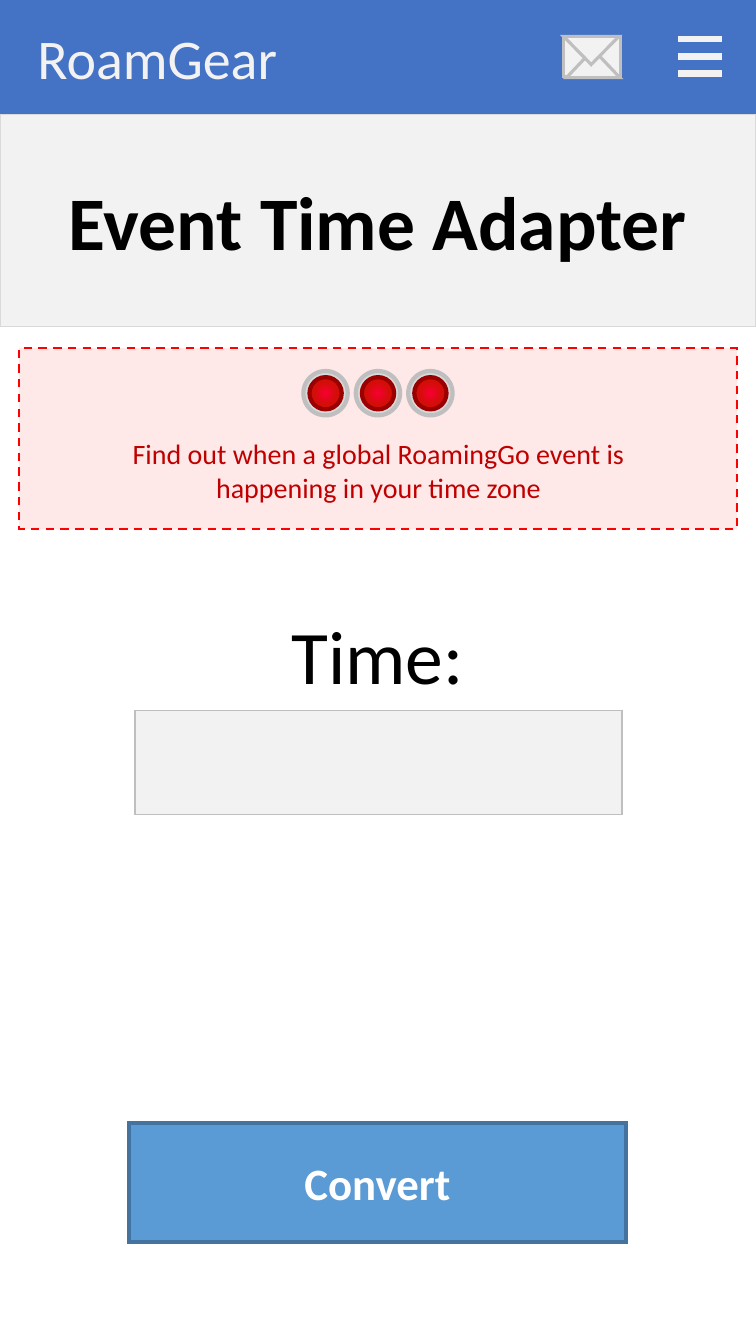
from pptx import Presentation
from pptx.dml.color import RGBColor as RGB
from pptx.enum.dml import MSO_LINE as Dash
from pptx.enum.shapes import MSO_CONNECTOR as Conn, MSO_SHAPE as Kind
from pptx.enum.text import MSO_ANCHOR as Anchor, PP_ALIGN as Align
from pptx.oxml import parse_xml
from pptx.oxml.ns import nsdecls, qn
from pptx.util import Inches, Pt

FONT = "Calibri"
HEX = {
    "bar": "4472C4", "pale": "F2F2F2", "edge": "D9D9D9", "gray": "BFBFBF",
    "black": "000000", "white": "FFFFFF", "blue": "5B9BD5", "navy": "43739E",
    "pink": "FEE8E8", "red": "FF0000", "text": "C00000", "rim": "9A0000",
    "glow": "FA0033", "core": "D30E09",
}


def color(name):
    return RGB.from_string(HEX[name])


def draw(slide, kind, box, fill, line=None, width=1):
    shape = slide.shapes.add_shape(kind, *map(Inches, box))
    shape.shadow.inherit = False
    shape.fill.solid()
    shape.fill.fore_color.rgb = color(fill)
    if line:
        shape.line.color.rgb = color(line)
        shape.line.width = Pt(width)
        edge = shape.element.spPr.find(qn("a:ln"))
        edge.append(parse_xml(f'<a:miter {nsdecls("a")} lim="800000"/>'))
    else:
        shape.line.fill.background()
    return shape


def write(shape, text, size, tint, bold=False):
    frame = shape.text_frame
    frame.text = text
    for para in frame.paragraphs:
        para.alignment = Align.CENTER
        for run in para.runs:
            run.font.name = FONT
            run.font.size = Pt(size)
            run.font.bold = bold
            run.font.color.rgb = color(tint)


def label(slide, box, text, size, tint):
    shape = slide.shapes.add_textbox(*map(Inches, box))
    shape.text_frame.word_wrap = False
    write(shape, text, size, tint)


def panel(slide, box, text, size, tint, fill, line, width):
    shape = draw(slide, Kind.RECTANGLE, box, fill, line, width)
    shape.text_frame.vertical_anchor = Anchor.MIDDLE
    write(shape, text, size, tint, True)


def radial(shape, inner, outer):
    stops = "".join(
        f'<a:gs pos="{pos}"><a:srgbClr val="{HEX[name]}"/></a:gs>'
        for pos, name in ((0, inner), (50000, outer), (100000, outer)))
    grad = parse_xml(
        f'<a:gradFill {nsdecls("a")} rotWithShape="1"><a:gsLst>{stops}</a:gsLst>'
        '<a:path path="circle"><a:fillToRect l="50000" t="50000" r="50000" b="50000"/>'
        '</a:path></a:gradFill>')
    props = shape.element.spPr
    props.replace(props.find(qn("a:solidFill")), grad)


def lamp(slide, left, top):
    draw(slide, Kind.OVAL, (left, top, 0.44, 0.44), "edge", "gray", 3)
    bulb = draw(slide, Kind.OVAL, (left + 0.06, top + 0.06, 0.32, 0.32), "core", "rim", 3)
    radial(bulb, "glow", "core")


def notice(slide, left, top, width, height):
    frame = draw(slide, Kind.RECTANGLE, (left, top, width, height), "pink", "red", 1.5)
    frame.line.dash_style = Dash.DASH
    label(slide, (left + 0.97, top + 0.83, 5.19, 0.77),
          "Find out when a global RoamingGo event is\nhappening in your time zone",
          20, "text")
    for i in range(3):
        lamp(slide, left + 2.82 + i * 0.52, top + 0.23)


def field(slide, left, top, width, height):
    draw(slide, Kind.RECTANGLE, (left, top + 1.06, width, height - 1.06), "pale", "gray")
    label(slide, (left + 1.44, top, 1.93, 1.01), "Time:", 54, "black")


def mail(slide, left, top):
    style = "pale", "gray", 2.25
    draw(slide, Kind.RECTANGLE, (left, top, 0.57, 0.4), *style)
    draw(slide, Kind.ISOSCELES_TRIANGLE, (left + 0.03, top + 0.13, 0.53, 0.28), *style)
    flap = draw(slide, Kind.ISOSCELES_TRIANGLE, (left, top, 0.55, 0.28), *style)
    flap.rotation = 180


def menu(slide, left, top):
    for i in range(3):
        y = Inches(top + i * 0.17)
        bar = slide.shapes.add_connector(
            Conn.STRAIGHT, Inches(left + 0.43), y, Inches(left), y)
        bar.line.color.rgb = color("pale")
        bar.line.width = Pt(4.5)
        bar.element.spPr.append(parse_xml(f'<a:effectLst {nsdecls("a")}/>'))


def header(slide, left, top, width, height):
    draw(slide, Kind.RECTANGLE, (left, top, width, height), "bar")
    menu(slide, left + 6.73, top + 0.39)
    label(slide, (left + 0.21, top + 0.18, 2.7, 0.77), "RoamGear", 40, "pale")
    mail(slide, left + 5.59, top + 0.36)


def main():
    deck = Presentation()
    deck.slide_width, deck.slide_height = Inches(7.5), Inches(13.33)
    slide = deck.slides.add_slide(deck.slide_layouts[6])
    panel(slide, (0, 1.13, 7.5, 2.11), "Event Time Adapter", 54, "black", "pale", "edge", 1)
    field(slide, 1.34, 5.99, 4.83, 2.09)
    panel(slide, (1.28, 11.14, 4.93, 1.18), "Convert", 32, "white", "blue", "navy", 3)
    notice(slide, 0.19, 3.45, 7.12, 1.8)
    header(slide, 0, 0, 7.5, 1.13)
    deck.save("out.pptx")


if __name__ == "__main__":
    main()
